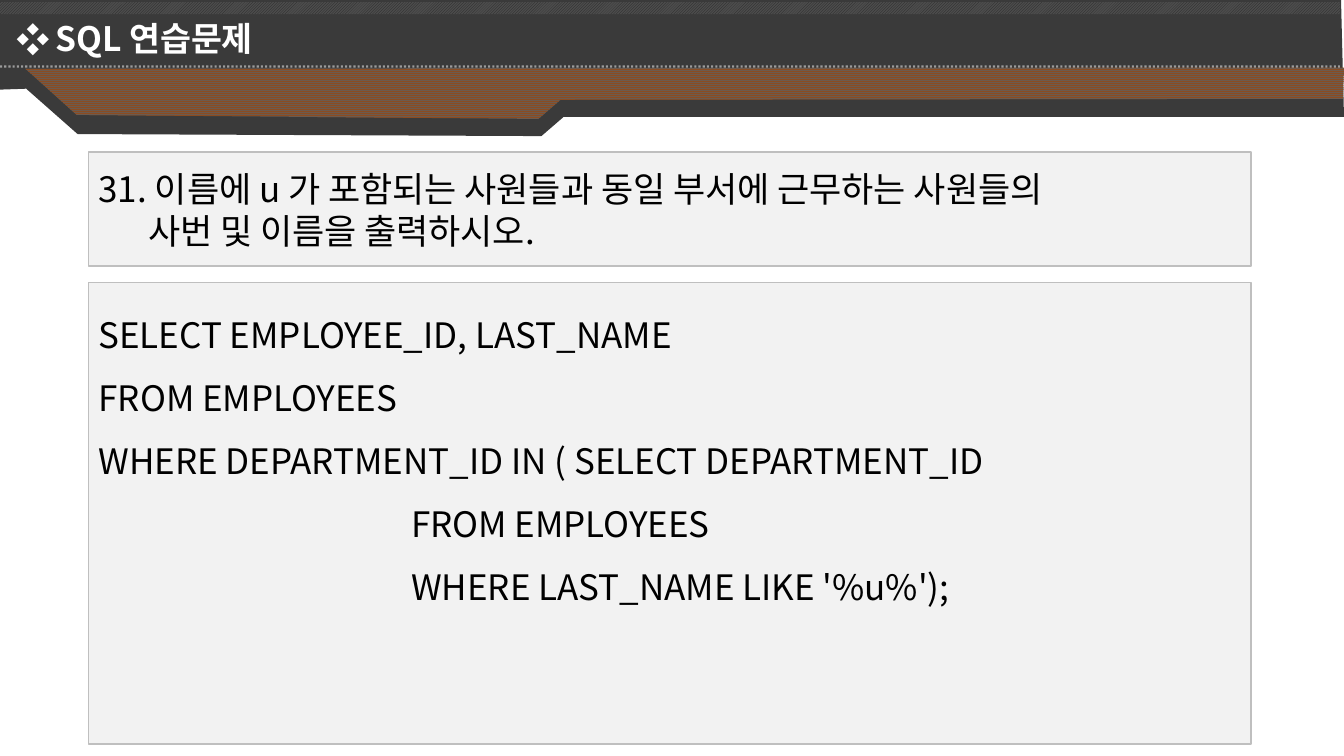
from lxml.etree import SubElement
from pptx import Presentation
from pptx.dml.color import RGBColor
from pptx.enum.dml import MSO_LINE, MSO_PATTERN
from pptx.enum.shapes import MSO_CONNECTOR, MSO_SHAPE
from pptx.enum.text import MSO_ANCHOR, PP_ALIGN
from pptx.oxml.ns import qn
from pptx.util import Emu, Pt

PX = 9144
FONT = "Noto Sans CJK KR"
COLORS = {
    "band": "3A3A3A", "hatch": "262626", "hatch_gap": "4C4C4C",
    "stripe": "8A4C22", "stripe_gap": "6C5A4E", "white": "FFFFFF",
    "black": "000000", "panel": "F2F2F2", "border": "BFBFBF",
}
BAND = [(-2, -2), (1330, -3), (1333, 116), (559, 116), (537, 135),
        (77, 133), (26, 88), (-2, 89)]
STRIPE = [(25, 68), (76, 114), (534, 118), (556, 99), (1332, 98), (1333, 67)]
QUESTION = [("31. 이름에 u 가 포함되는 사원들과 동일 부서에 근무하는 사원들의", 0),
            ("사번 및 이름을 출력하시오.", 49)]
QUERY = [("SELECT EMPLOYEE_ID, LAST_NAME", 0),
         ("FROM EMPLOYEES", 0),
         ("WHERE DEPARTMENT_ID IN ( SELECT DEPARTMENT_ID", 0),
         ("FROM EMPLOYEES", 310),
         ("WHERE LAST_NAME LIKE '%u%');", 310)]


def px(n):
    """Turn pixels into EMU."""
    return Emu(n * PX)


def rgb(name):
    """Look up a named colour."""
    return RGBColor.from_string(COLORS[name])


def fill_pattern(sp, pattern, fore, back):
    """Fill a shape with a two-colour pattern."""
    sp.fill.patterned()
    sp.fill.pattern = pattern
    sp.fill.fore_color.rgb = rgb(fore)
    sp.fill.back_color.rgb = rgb(back)


def add_outline(s, points):
    """Add a closed borderless polygon."""
    builder = s.shapes.build_freeform(*points[0], scale=PX)
    builder.add_line_segments(points[1:], close=True)
    sp = builder.convert_to_shape()
    sp.shadow.inherit = False
    sp.line.fill.background()
    return sp


def add_rect(s, x, y, w, h):
    """Add a rectangle without a shadow."""
    sp = s.shapes.add_shape(MSO_SHAPE.RECTANGLE, px(x), px(y), px(w), px(h))
    sp.shadow.inherit = False
    return sp


def add_dotted_line(s, x1, x2, y):
    """Add the half-transparent dotted rule."""
    cn = s.shapes.add_connector(MSO_CONNECTOR.STRAIGHT, px(x1), px(y), px(x2), px(y))
    cn.line.color.rgb = rgb("white")
    cn.line.width = Pt(1.5)
    cn.line.dash_style = MSO_LINE.ROUND_DOT
    spPr = cn._element.spPr
    color = next(spPr.iter(qn("a:srgbClr")))
    SubElement(color, qn("a:alpha"), val="50000")
    SubElement(spPr, qn("a:effectLst"))


def write_paragraph(p, text, size, color, spacing, indent=0):
    """Write one left-aligned paragraph and return its run."""
    p.text = text
    p.alignment = PP_ALIGN.LEFT
    p.line_spacing = Pt(spacing)
    p._p.get_or_add_pPr().set("marL", str(px(indent)))
    r = p.runs[0]
    r.font.size = Pt(size)
    r.font.color.rgb = rgb(color)
    r.font.name = FONT
    SubElement(r._r.get_or_add_rPr(), qn("a:ea"), typeface=FONT)
    return r


def add_title(s, text):
    """Add the bulleted title with its text shadow."""
    tf = s.shapes.add_textbox(px(7), px(11), px(659), px(50)).text_frame
    tf.word_wrap = True
    p = tf.paragraphs[0]
    r = write_paragraph(p, text, 24, "white", 30, 38)
    r.font.bold = True
    pPr = p._p.get_or_add_pPr()
    pPr.set("indent", str(px(-38)))
    SubElement(pPr, qn("a:buFont"), typeface=FONT)
    SubElement(pPr, qn("a:buChar"), char="❖")
    effects = r._r.get_or_add_rPr().find(qn("a:solidFill"))
    effects.addnext(effects.makeelement(qn("a:effectLst"), {}))
    shadow = SubElement(effects.getnext(), qn("a:outerShdw"),
                        dist="25400", dir="2700000")
    SubElement(shadow, qn("a:srgbClr"), val=COLORS["black"])


def add_panel(s, y, h, lines, spacing, bottom=5):
    """Add a grey panel holding lines of text."""
    sp = add_rect(s, 88, y, 1153, h)
    sp.fill.solid()
    sp.fill.fore_color.rgb = rgb("panel")
    sp.line.color.rgb = rgb("border")
    sp.line.width = Pt(1)
    tf = sp.text_frame
    tf.word_wrap = True
    tf.vertical_anchor = MSO_ANCHOR.MIDDLE
    tf.margin_bottom = px(bottom)
    tf.text = "\n".join(text for text, _ in lines)
    for p, (text, indent) in zip(tf.paragraphs, lines):
        write_paragraph(p, text, 25, "black", spacing, indent)


def main():
    """Build the slide and save it."""
    prs = Presentation()
    prs.slide_width, prs.slide_height = px(1333), px(750)
    s = prs.slides.add_slide(prs.slide_layouts[6])
    band = add_outline(s, BAND)
    band.fill.solid()
    band.fill.fore_color.rgb = rgb("band")
    hatch = add_rect(s, -4, 2, 1333, 12)
    hatch.line.fill.background()
    fill_pattern(hatch, MSO_PATTERN.LIGHT_UPWARD_DIAGONAL, "hatch", "hatch_gap")
    fill_pattern(add_outline(s, STRIPE), MSO_PATTERN.NARROW_HORIZONTAL,
                 "stripe", "stripe_gap")
    add_dotted_line(s, 0, 1329, 66)
    add_title(s, "SQL 연습문제")
    add_panel(s, 280, 458, QUERY, 45, 130)
    add_panel(s, 151, 113, QUESTION, 30)
    prs.save("out.pptx")


if __name__ == "__main__":
    main()
